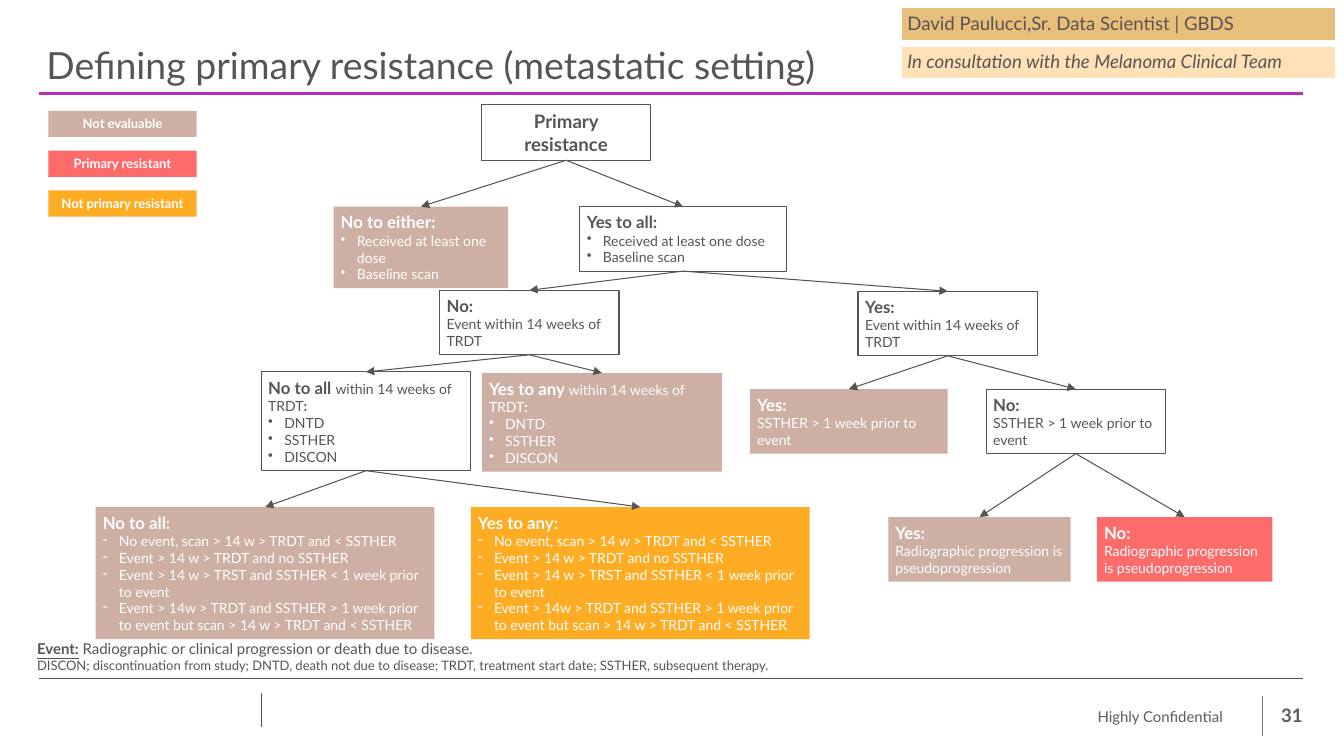
import pptx
import pptx.dml.color
import pptx.enum.shapes
import pptx.enum.text
import pptx.oxml.ns
import pptx.util
from lxml import etree

Inches = pptx.util.Inches
Align = pptx.enum.text.PP_ALIGN
Anchor = pptx.enum.text.MSO_ANCHOR

COLORS = {
    "ink": "595454", "footer": "5F5B5A", "divider": "7E7575", "rule": "BE2BBB",
    "white": "FFFFFF", "not evaluable": "CEAFA3", "resistant": "FE6B6B",
    "not resistant": "FFAC25", "presenter": "E7BE7A", "team": "FFE1B7",
}
BOX_INSETS = (0.07, 0.05, 0.07, 0.05)
EVENT = "Event within 14 weeks of TRDT"
SSTHER = "SSTHER > 1 week prior to event"
PROGRESSION = "Radiographic progression is pseudoprogression"
DOSE_ITEMS = ["Received at least one dose", "Baseline scan"]
EARLY_ITEMS = ["DNTD", "SSTHER", "DISCON"]
LATE_ITEMS = [
    "No event, scan > 14 w > TRDT and < SSTHER",
    "Event > 14 w > TRDT and no SSTHER",
    "Event > 14 w > TRST and SSTHER < 1 week prior to event",
    "Event > 14w > TRDT and SSTHER > 1 week prior to event but scan > 14 w > TRDT and < SSTHER",
]
WITHIN = "within 14 weeks of TRDT"
NODES = {
    "dose yes": ((4.8, 1.01, 2.05, 0.64), None, "Yes to all:", "", "•", DOSE_ITEMS),
    "dose no": ((2.36, 1.01, 1.73, 0.81), "not evaluable", "No to either:", "", "•", DOSE_ITEMS),
    "event yes": ((7.56, 1.85, 1.78, 0.64), None, "Yes:", "", "", [EVENT]),
    "event no": ((3.41, 1.84, 1.78, 0.64), None, "No:", "", "", [EVENT]),
    "early no": ((1.64, 2.65, 2.08, 0.98), None, "No to all ", WITHIN, "•", EARLY_ITEMS),
    "early yes": ((3.83, 2.66, 2.38, 0.98), "not evaluable", "Yes to any ", WITHIN, "•", EARLY_ITEMS),
    "ssther yes": ((6.49, 2.82, 1.96, 0.64), "not evaluable", "Yes:", "", "", [SSTHER]),
    "ssther no": ((8.83, 2.82, 1.78, 0.64), None, "No:", "", "", [SSTHER]),
    "late no": ((0, 3.99, 3.36, 1.31), "not evaluable", "No to all:", "", "-", LATE_ITEMS),
    "late yes": ((3.72, 3.99, 3.36, 1.31), "not resistant", "Yes to any:", "", "-", LATE_ITEMS),
    "pseudo yes": ((7.86, 4.09, 1.81, 0.64), "not evaluable", "Yes:", "", "", [PROGRESSION]),
    "pseudo no": ((9.93, 4.09, 1.74, 0.64), "resistant", "No:", "", "", [PROGRESSION]),
}
BRANCHES = {"root": "dose", "dose yes": "event", "event yes": "ssther",
            "event no": "early", "early no": "late", "ssther no": "pseudo"}


def rgb(name):
    """Return the named colour."""
    return pptx.dml.color.RGBColor.from_string(COLORS[name])


def set_frame(frame, insets, anchor, wrap=True):
    """Set the margins, anchor and wrapping of a text frame."""
    frame.margin_left, frame.margin_top, frame.margin_right, frame.margin_bottom = map(Inches, insets)
    frame.vertical_anchor = anchor
    frame.word_wrap = wrap


def add_span(para, text, size, color="ink", bold=False, italic=False, underline=False):
    """Add one formatted run to a paragraph."""
    span = para.add_run()
    span.text = text
    font = span.font
    font.name, font.size = "Lato", pptx.util.Pt(size)
    font.bold, font.italic, font.underline = bold, italic, underline
    font.color.rgb = rgb(color)


def add_bullet(para, mark):
    """Give a paragraph a hanging bullet."""
    props = para._p.get_or_add_pPr()
    props.set("marL", str(Inches(0.16)))
    props.set("indent", str(-Inches(0.16)))
    etree.SubElement(props, pptx.oxml.ns.qn("a:buChar")).set("char", mark)


def add_box(page, box, fill=None, line=None, weight=0.75, insets=BOX_INSETS, anchor=Anchor.MIDDLE):
    """Add a rectangle and return it with its first paragraph aligned left."""
    shape = page.shapes.add_shape(pptx.enum.shapes.MSO_SHAPE.RECTANGLE, *map(Inches, box))
    shape.shadow.inherit = False
    if fill:
        shape.fill.solid()
        shape.fill.fore_color.rgb = rgb(fill)
    else:
        shape.fill.background()
    if line:
        shape.line.color.rgb = rgb(line)
        shape.line.width = pptx.util.Pt(weight)
    else:
        shape.line.fill.background()
    set_frame(shape.text_frame, insets, anchor)
    shape.text_frame.paragraphs[0].alignment = Align.LEFT
    return shape


def add_line(page, start, end, color, weight):
    """Add a straight line without a shadow."""
    line = page.shapes.add_connector(pptx.enum.shapes.MSO_CONNECTOR.STRAIGHT,
                                     *map(Inches, (*start, *end)))
    line.line.color.rgb = rgb(color)
    line.line.width = pptx.util.Pt(weight)
    etree.SubElement(line._element.spPr, pptx.oxml.ns.qn("a:effectLst"))
    return line


def add_arrow(page, parent, child):
    """Join the bottom of one box to the top of another."""
    arrow = add_line(page, (0, 0), (1, 1), "ink", 0.75)
    arrow.begin_connect(parent, 2)
    arrow.end_connect(child, 0)
    etree.SubElement(arrow.line._get_or_add_ln(), pptx.oxml.ns.qn("a:tailEnd")).set("type", "triangle")


def add_text(page, box, insets, anchor, wrap=True):
    """Add an empty text box and return its frame."""
    frame = page.shapes.add_textbox(*map(Inches, box)).text_frame
    set_frame(frame, insets, anchor, wrap)
    return frame


def add_header(page, box):
    """Place the title, its rule and the two banners."""
    left, top, width, height = box
    title = page.shapes.title
    title.left, title.top, title.width, title.height = map(
        Inches, (left + 0.02, top + 0.11, width - 0.02, height - 0.12))
    set_frame(title.text_frame, (0.05,) * 4, Anchor.BOTTOM)
    para = title.text_frame.paragraphs[0]
    para.alignment, para.line_spacing = Align.LEFT, 0.9
    add_span(para, "Defining primary resistance (metastatic setting)", 26.7)
    add_line(page, (left, top + height), (left + width, top + height), "rule", 2.25)
    banners = [("David Paulucci,Sr. Data Scientist | GBDS", "presenter", False),
               ("In consultation with the Melanoma Clinical Team", "team", True)]
    for row, (text, fill, italic) in enumerate(banners):
        banner = add_box(page, (left + 8.54, top + 0.38 * row, 4.33, 0.34), fill, "white", 2, (0.07,) * 4)
        para = banner.text_frame.paragraphs[0]
        para.line_spacing = 0.9
        add_span(para, text, 13.3, italic=italic)


def add_node(page, box, fill, heading, detail, mark, items):
    """Add one decision box with its heading and lines."""
    node = add_box(page, box, fill, None if fill else "ink")
    color = "white" if fill else "ink"
    para = node.text_frame.paragraphs[0]
    add_span(para, heading, 12, color, bold=True)
    if detail:
        add_span(para, detail, 10, color)
        add_span(para, ":", 10, color, bold=True)
    for item in items:
        para = node.text_frame.add_paragraph()
        para.alignment = Align.LEFT
        if mark:
            add_bullet(para, mark)
        add_span(para, item, 10, color)
    return node


def add_tree(page, box):
    """Place the decision boxes and join each to its branches."""
    left, top = box[:2]
    root = add_box(page, (left + 3.83, top, 1.67, 0.55), None, "ink", insets=(0.1, 0.05, 0.1, 0.05))
    para = root.text_frame.paragraphs[0]
    para.alignment = Align.CENTER
    add_span(para, "Primary resistance", 13.3, bold=True)
    placed = {"root": root}
    for name, ((x, y, width, height), *content) in NODES.items():
        placed[name] = add_node(page, (left + x, top + y, width, height), *content)
    for parent, question in BRANCHES.items():
        for answer in ("yes", "no"):
            add_arrow(page, placed[parent], placed[f"{question} {answer}"])


def add_legend(page, box):
    """Stack the three colour keys."""
    left, top, width, height = box
    keys = [("Not evaluable", "not evaluable"), ("Primary resistant", "resistant"),
            ("Not primary resistant", "not resistant")]
    pitch = (height - 0.26) / (len(keys) - 1)
    for row, (text, fill) in enumerate(keys):
        key = add_box(page, (left, top + row * pitch, width, 0.26), fill, anchor=Anchor.TOP)
        para = key.text_frame.paragraphs[0]
        para.alignment = Align.CENTER
        add_span(para, text, 9.3, "white", bold=True)


def add_notes(page, box):
    """Write the event definition and the abbreviations."""
    frame = add_text(page, box, (0.1, 0.05, 0.1, 0.05), Anchor.TOP, False)
    para = frame.paragraphs[0]
    add_span(para, "Event:", 10.7, bold=True, underline=True)
    add_span(para, " Radiographic or clinical progression or death due to disease.", 10.7)
    add_span(frame.add_paragraph(), "DISCON; discontinuation from study; DNTD, death not due to disease; "
             "TRDT, treatment start date; SSTHER, subsequent therapy.", 9.3)


def add_footer(page, box):
    """Place the footer rules, confidentiality label and page number."""
    left, top, width, height = box
    right = left + width
    add_line(page, (left, top), (right, top), "ink", 0.5)
    add_line(page, (left + 2.2, top + 0.15), (left + 2.2, top + 0.48), "ink", 0.5)
    add_line(page, (right - 0.4, top + 0.17), (right - 0.4, top + height), "divider", 0.75)
    labels = [("Highly Confidential", right - 5.47, 4.68, 10.7, 0.01, True, False),
              ("31", right - 0.47, 0.47, 13.3, 0, False, True)]
    for text, x, span_width, size, bottom, wrap, bold in labels:
        frame = add_text(page, (x, top + 0.15, span_width, 0.33), (0, 0, 0, bottom), Anchor.BOTTOM, wrap)
        frame.paragraphs[0].alignment = Align.RIGHT
        add_span(frame.paragraphs[0], text, size, "footer", bold=bold)


def main():
    """Build and save the slide."""
    deck = pptx.Presentation()
    deck.slide_width, deck.slide_height = Inches(13.33), Inches(7.5)
    page = deck.slides.add_slide(deck.slide_layouts[5])
    add_header(page, (0.39, 0.07, 12.53, 0.86))
    add_tree(page, (0.95, 1.04, 11.67, 5.3))
    add_legend(page, (0.48, 1.1, 1.47, 1.05))
    add_notes(page, (0.27, 6.3, 7.75, 0.45))
    add_footer(page, (0.39, 6.73, 12.53, 0.57))
    deck.save("out.pptx")


if __name__ == "__main__":
    main()
